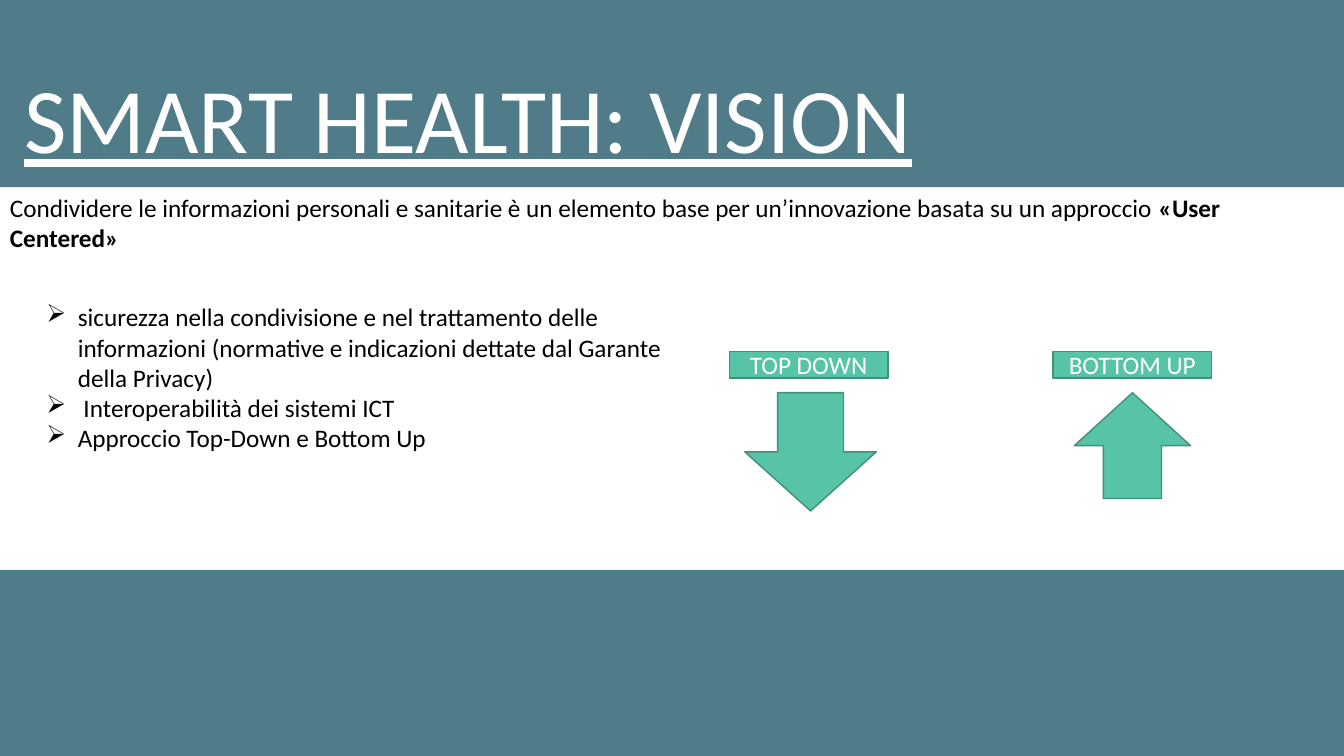
from lxml import etree
from pptx import Presentation, util as u
from pptx.dml import color
from pptx.enum import shapes, text
from pptx.oxml import ns


def rgb(value):
    return color.RGBColor.from_string(value)


class VisionSlide:
    """Hold the style and the current slide, and add its elements."""

    font = "Calibri"
    teal, green, edge = "507C89", "57C3A7", "40907C"
    white, black = "FFFFFF", "000000"

    def __init__(self, deck):
        self.slide = deck.slides.add_slide(deck.slide_layouts[5])
        background = self.slide.background.fill
        background.solid()
        background.fore_color.rgb = rgb(self.white)

    def run(self, paragraph, words, size=18, ink=black, bold=False, underline=False):
        run = paragraph.add_run()
        run.text = words
        run.font.name = self.font
        run.font.size = u.Pt(size)
        run.font.bold = bold
        run.font.underline = underline
        run.font.color.rgb = rgb(ink)

    def shape(self, preset, left, top, width, height, fill, line=None):
        shape = self.slide.shapes.add_shape(preset, *map(u.Pt, (left, top, width, height)))
        shape.shadow.inherit = False
        shape.fill.solid()
        shape.fill.fore_color.rgb = rgb(fill)
        if line:
            shape.line.color.rgb = rgb(line)
            shape.line.width = u.Pt(1)
        else:
            shape.line.fill.background()
        return shape

    def band(self, top, height):
        self.shape(shapes.MSO_SHAPE.RECTANGLE, 0, top, 960, height, self.teal)

    def title(self, words, left, top, width, height):
        title = self.slide.shapes.title
        title.left, title.top, title.width, title.height = map(u.Pt, (left, top, width, height))
        title._element.getparent().append(title._element)
        frame = title.text_frame
        frame.word_wrap = False
        frame.auto_size = text.MSO_AUTO_SIZE.SHAPE_TO_FIT_TEXT
        frame.vertical_anchor = text.MSO_ANCHOR.TOP
        frame.paragraphs[0].alignment = text.PP_ALIGN.LEFT
        self.run(frame.paragraphs[0], words, 66, self.white, underline=True)

    def text_box(self, paragraphs, left, top, width, height, bullet=None):
        box = self.slide.shapes.add_textbox(*map(u.Pt, (left, top, width, height)))
        frame = box.text_frame
        frame.word_wrap = True
        frame.auto_size = text.MSO_AUTO_SIZE.SHAPE_TO_FIT_TEXT
        for index, runs in enumerate(paragraphs):
            paragraph = frame.add_paragraph() if index else frame.paragraphs[0]
            if bullet:
                self.bullet(paragraph, bullet)
            for words, bold in runs:
                self.run(paragraph, words, bold=bold)

    def bullet(self, paragraph, mark):
        properties = paragraph._p.get_or_add_pPr()
        indent = u.Pt(22.5)
        properties.set("marL", str(indent))
        properties.set("indent", str(-indent))
        etree.SubElement(properties, ns.qn("a:buChar")).set("char", mark)

    def label(self, words, left):
        label = self.shape(shapes.MSO_SHAPE.RECTANGLE, left, 251.2, 113.2, 18.8,
                           self.green, self.edge)
        frame = label.text_frame
        frame.word_wrap = True
        frame.vertical_anchor = text.MSO_ANCHOR.MIDDLE
        frame.paragraphs[0].alignment = text.PP_ALIGN.CENTER
        self.run(frame.paragraphs[0], words, ink=self.white)

    def arrow(self, left, width, height, rotation):
        arrow = self.shape(shapes.MSO_SHAPE.DOWN_ARROW, left, 280.5, width, height,
                           self.green, self.edge)
        arrow.rotation = rotation


def main():
    deck = Presentation()
    deck.slide_width, deck.slide_height = u.Pt(960), u.Pt(540)
    vision = VisionSlide(deck)
    for top in (0, 407):
        vision.band(top, 133.8)
    vision.title("SMART HEALTH: VISION", 10, 40.4, 655, 87.2)

    requirements = (
        "sicurezza nella condivisione e nel trattamento delle informazioni "
        "(normative e indicazioni dettate dal Garante della Privacy)",
        " Interoperabilità dei sistemi ICT",
        "Approccio Top-Down e Bottom Up",
    )
    vision.text_box([[(words, False)] for words in requirements], 26, 212, 480, 116.4, "➢")
    premise = [
        ("Condividere le informazioni personali e sanitarie è un elemento base per "
         "un’innovazione basata su un approccio ", False),
        ("«User Centered»", True),
    ]
    vision.text_box([premise], 0, 133.5, 952, 51)

    approaches = (
        ("TOP DOWN", 521, (532, 94, 84.5, 0)),
        ("BOTTOM UP", 752.2, (767.4, 83, 75.6, 180)),
    )
    for name, label_left, arrow in approaches:
        vision.arrow(*arrow)
        vision.label(name, label_left)
    deck.save("out.pptx")


if __name__ == "__main__":
    main()
